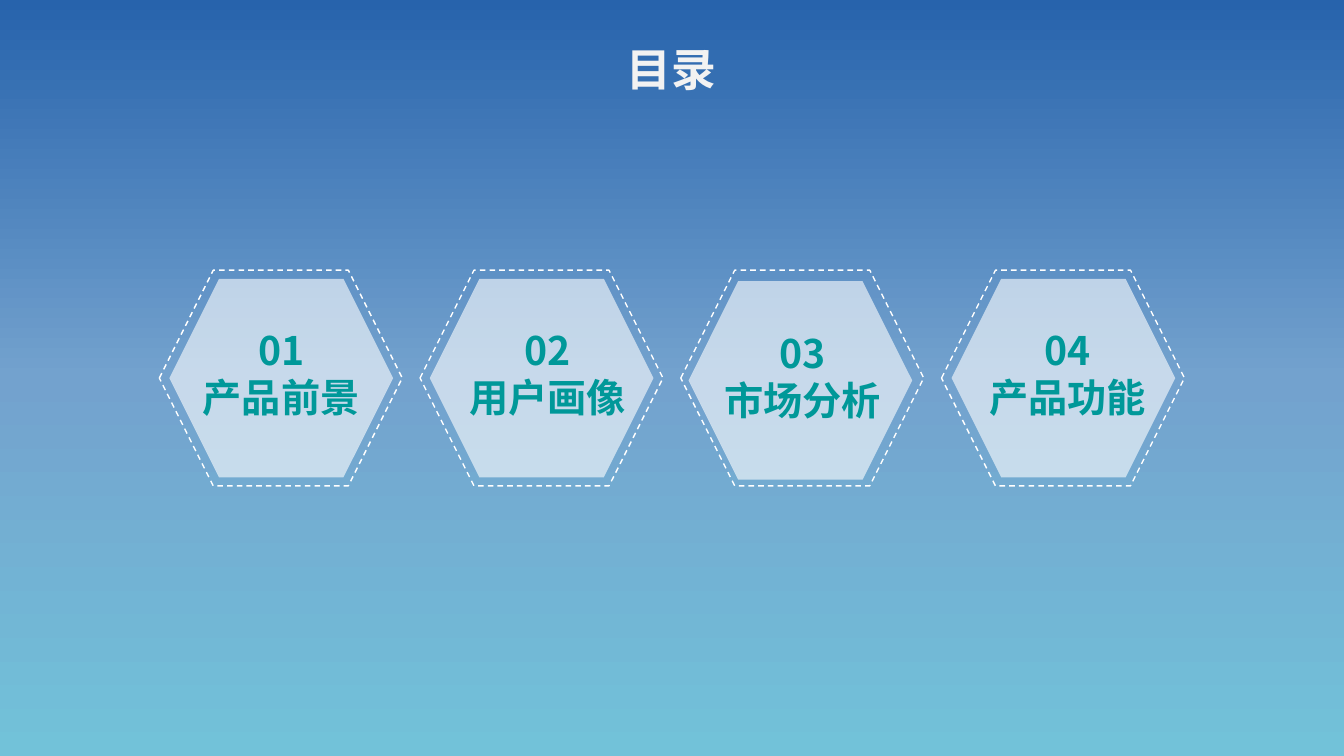
from copy import deepcopy
from pptx import Presentation
from pptx.dml.color import RGBColor
from pptx.enum.dml import MSO_LINE
from pptx.enum.shapes import MSO_SHAPE
from pptx.enum.text import MSO_AUTO_SIZE, PP_ALIGN
from pptx.oxml.ns import qn
from pptx.util import Pt
from lxml import etree


def color(hex_string):
    return RGBColor.from_string(hex_string)


def add_text(shapes, left, top, width, height, lines, size, hex_string, align, wrap):
    box = shapes.add_textbox(Pt(left), Pt(top), Pt(width), Pt(height))
    frame = box.text_frame
    frame.word_wrap = wrap
    frame.auto_size = MSO_AUTO_SIZE.SHAPE_TO_FIT_TEXT
    for index, line in enumerate(lines):
        paragraph = frame.paragraphs[0] if index == 0 else frame.add_paragraph()
        paragraph.alignment = align
        run = paragraph.add_run()
        run.text = line
        run.font.size = Pt(size)
        run.font.bold = True
        run.font.name = "Noto Sans CJK SC"
        run.font.color.rgb = color(hex_string)
        east_asian = etree.SubElement(run.font._element, qn("a:ea"))
        east_asian.set("typeface", "Noto Sans CJK SC")


presentation = Presentation()
presentation.slide_width = Pt(960)
presentation.slide_height = Pt(540)
slide = presentation.slides.add_slide(presentation.slide_layouts[6])

background = slide.background.fill
background.gradient()
background.gradient_angle = 270
stop_list = slide._element.find(".//" + qn("a:gsLst"))
stop_list.insert(1, deepcopy(stop_list[0]))
for stop, position, hex_string in zip(
    background.gradient_stops, (0, 0.5, 1), ("2763AC", "73A2CE", "72C2D9")
):
    stop.position = position
    stop.color.rgb = color(hex_string)

add_text(slide.shapes, 440.6, 26.6, 79.2, 46, ["目录"], 32, "F2F2F2", PP_ALIGN.LEFT, False)

RING_LEFT, RING_TOP, RING_PITCH = 113.8, 193, 186.24
sections = [
    ("01", "产品前景", 121, 199.2, 127.4, 229.7),
    ("02", "用户画像", 307, 199.2, 317.5, 229.7),
    ("03", "市场分析", 491.8, 200.9, 499.7, 231.8),
    ("04", "产品功能", 679.7, 199.2, 689, 229.7),
]

for index, (number, title, panel_left, panel_top, text_left, text_top) in enumerate(sections):
    group = slide.shapes.add_group_shape()

    panel = group.shapes.add_shape(
        MSO_SHAPE.HEXAGON, Pt(panel_left), Pt(panel_top), Pt(159.8), Pt(141.8)
    )
    panel.shadow.inherit = False
    panel.fill.solid()
    panel.fill.fore_color.rgb = color("FFFFFF")
    alpha = etree.SubElement(panel._element.spPr.find(".//" + qn("a:srgbClr")), qn("a:alpha"))
    alpha.set("val", "60000")
    panel.line.fill.background()

    ring = group.shapes.add_shape(
        MSO_SHAPE.HEXAGON, Pt(RING_LEFT + index * RING_PITCH), Pt(RING_TOP), Pt(173.5), Pt(154.1)
    )
    ring.shadow.inherit = False
    ring.fill.background()
    ring.line.color.rgb = color("FFFFFF")
    ring.line.width = Pt(1)
    ring.line.dash_style = MSO_LINE.DASH

    add_text(
        group.shapes, text_left, text_top, 146.9, 74.9,
        [number, title], 28, "009899", PP_ALIGN.CENTER, True,
    )

presentation.save("out.pptx")
